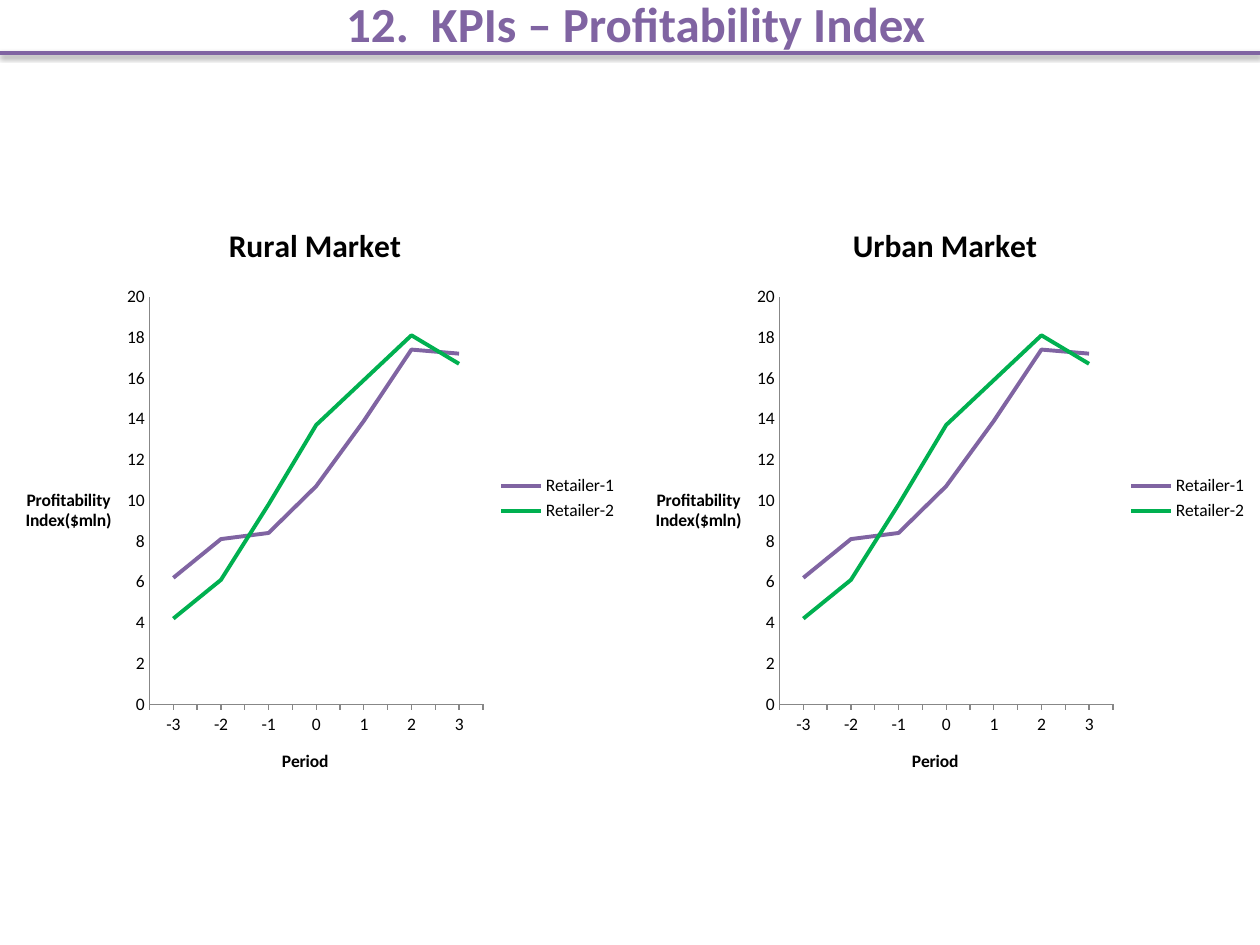
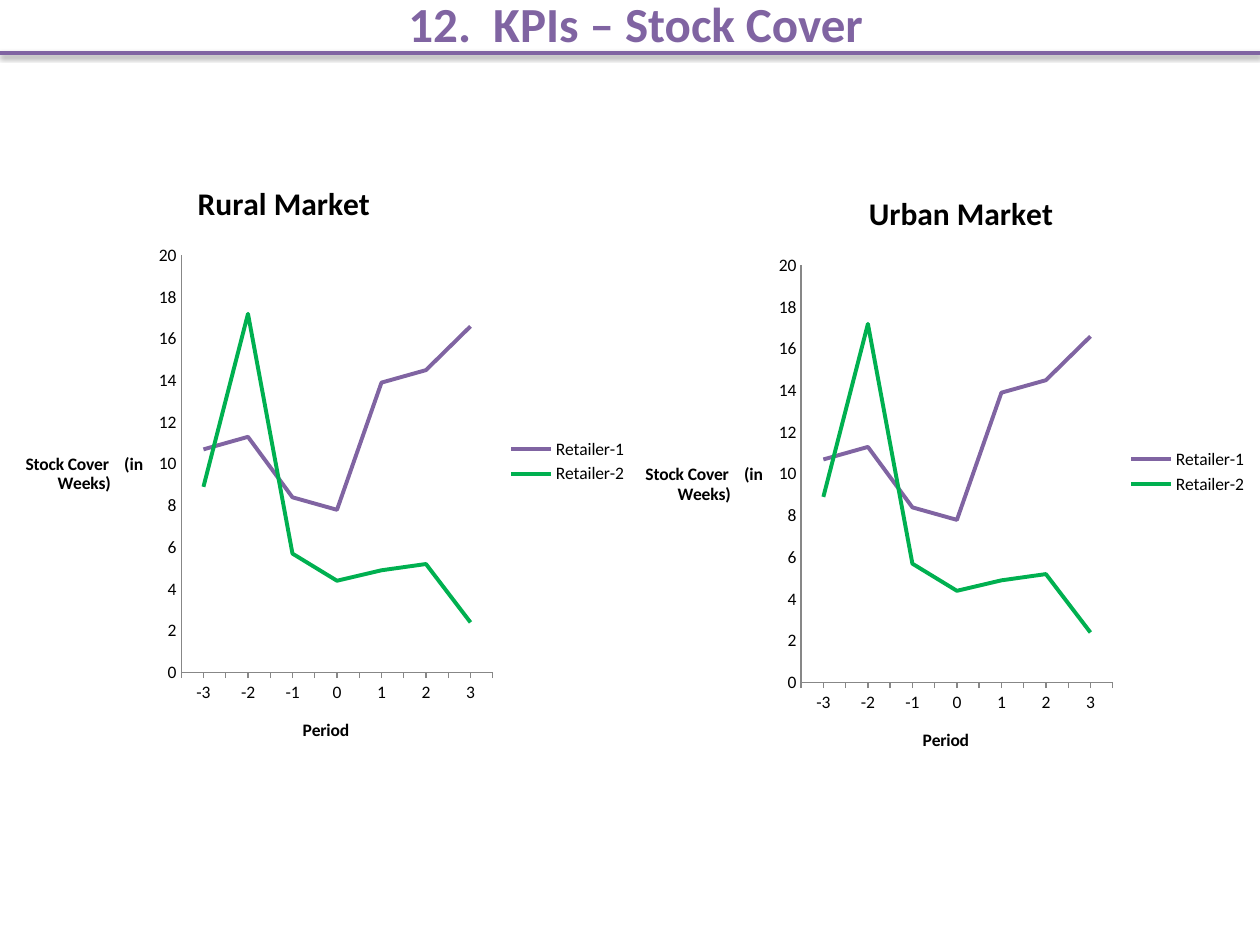
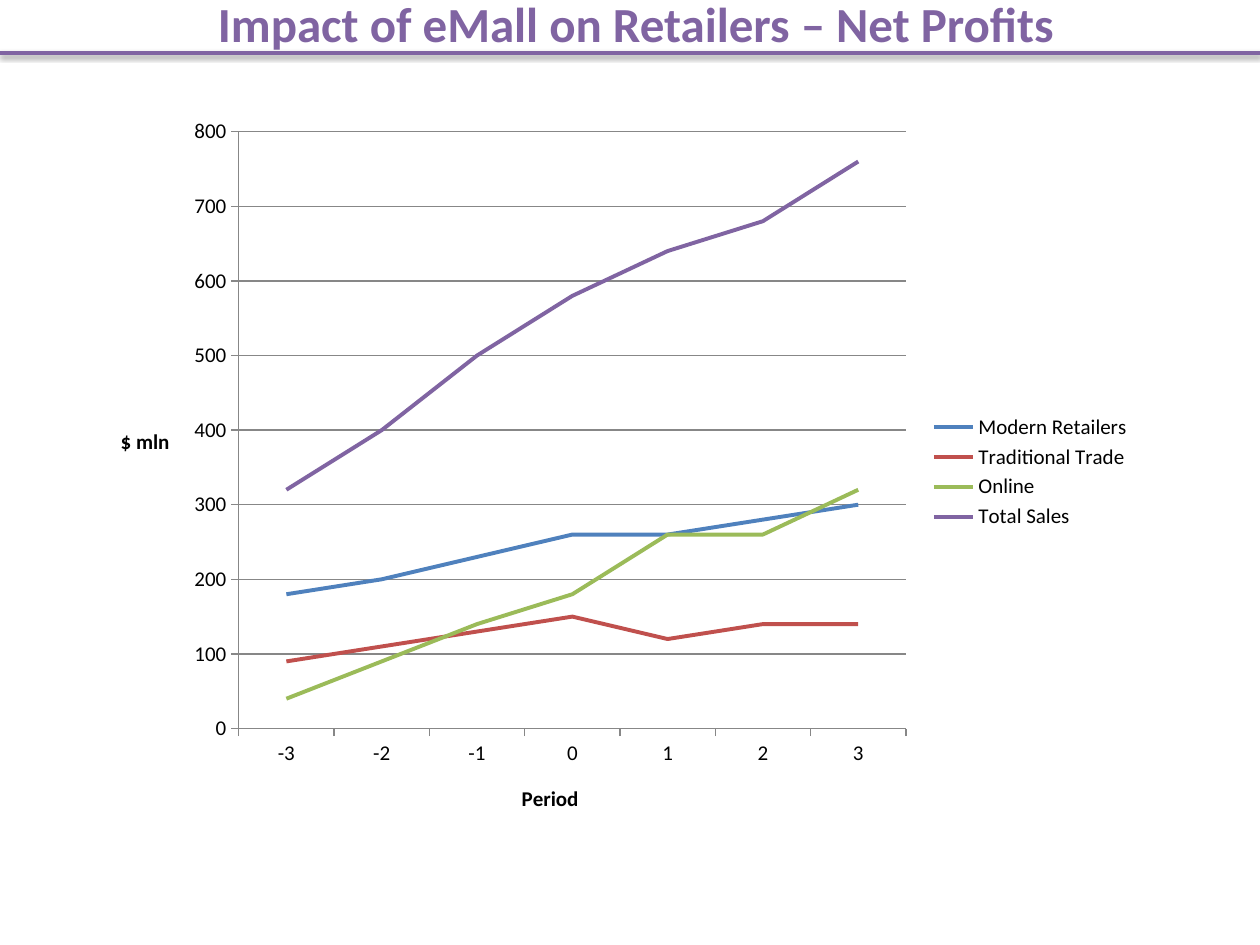
"""Build three slides of retail KPI line charts."""
from dataclasses import dataclass

from lxml import etree
from pptx import Presentation
from pptx.chart.data import CategoryChartData
from pptx.dml.color import RGBColor
from pptx.enum.chart import XL_CHART_TYPE, XL_LEGEND_POSITION, XL_TICK_MARK
from pptx.enum.shapes import MSO_CONNECTOR
from pptx.enum.text import MSO_ANCHOR, PP_ALIGN
from pptx.oxml.ns import qn
from pptx.util import Inches, Pt

LINE, STRAIGHT = XL_CHART_TYPE.LINE, MSO_CONNECTOR.STRAIGHT
RIGHT = XL_LEGEND_POSITION.RIGHT
OUTSIDE, NO_TICK = XL_TICK_MARK.OUTSIDE, XL_TICK_MARK.NONE
MIDDLE, CENTER = MSO_ANCHOR.MIDDLE, PP_ALIGN.CENTER


@dataclass(frozen=True)
class Theme:
    font: str = "Calibri"
    black: RGBColor = RGBColor.from_string("000000")
    purple: RGBColor = RGBColor.from_string("8064A2")
    green: RGBColor = RGBColor.from_string("00B050")
    blue: RGBColor = RGBColor.from_string("4F81BD")
    red: RGBColor = RGBColor.from_string("C0504D")
    lime: RGBColor = RGBColor.from_string("9BBB59")
    axis: RGBColor = RGBColor.from_string("878787")
    title: int = 28
    chart_title: int = 18
    small: int = 10
    medium: int = 12


T = Theme()
PERIODS = ["-3", "-2", "-1", "0", "1", "2", "3"]

PROFITABILITY = [
    ("Retailer-1", T.purple, (6.2, 8.1, 8.4, 10.7, 13.9, 17.4, 17.2)),
    ("Retailer-2", T.green, (4.2, 6.1, 9.8, 13.7, 15.9, 18.1, 16.7)),
]
STOCK_COVER = [
    ("Retailer-1", T.purple, (10.7, 11.3, 8.4, 7.8, 13.9, 14.5, 16.6)),
    ("Retailer-2", T.green, (8.9, 17.2, 5.7, 4.4, 4.9, 5.2, 2.4)),
]
NET_PROFITS = [
    ("Modern Retailers", T.blue, (180, 200, 230, 260, 260, 280, 300)),
    ("Traditional Trade", T.red, (90, 110, 130, 150, 120, 140, 140)),
    ("Online", T.lime, (40, 90, 140, 180, 260, 260, 320)),
    ("Total Sales", T.purple, (320, 400, 500, 580, 640, 680, 760)),
]

SLIDES = [
    {"title": "12.  KPIs – Profitability Index", "unit": "Profitability Index($mln)",
     "series": PROFITABILITY, "size": T.small, "grid": False,
     "charts": [("Urban Market", None, (5, 1.58, 5, 4.75)),
                ("Rural Market", None, (0, 1.58, 5, 4.75))]},
    {"title": "12.  KPIs – Stock Cover", "unit": "Stock Cover    (in Weeks)",
     "series": STOCK_COVER, "size": T.small, "grid": False,
     "charts": [("Rural Market", (0.3, 0.03), (0, 1.25, 5.08, 4.83)),
                ("Urban Market", (0.38, 0.03), (4.92, 1.33, 5.08, 4.83))]},
    {"title": "Impact of eMall on Retailers – Net Profits", "unit": "$ mln",
     "series": NET_PROFITS, "size": T.medium, "grid": True,
     "charts": [(None, None, (0.75, 0.83, 8.33, 5.83))]},
]


def style_font(font, size, color=T.black, bold=False):
    font.name, font.size, font.bold = T.font, Pt(size), bold
    font.color.rgb = color


def style_line(line, color, width):
    line.color.rgb, line.width = color, Pt(width)


def add_shadow(shape):
    effects = etree.SubElement(shape.element.spPr, qn("a:effectLst"))
    shadow = etree.SubElement(effects, qn("a:outerShdw"), blurRad=str(Pt(3.1)),
                              dist=str(Pt(1.6)), dir="5400000", rotWithShape="0")
    color = etree.SubElement(shadow, qn("a:srgbClr"), val=str(T.black))
    etree.SubElement(color, qn("a:alpha"), val="38000")


def add_header(s, text):
    title = s.shapes.title
    title.left, title.top, title.width, title.height = map(
        Inches, (0.17, -0.25, 9.75, 0.87))
    tf = title.text_frame
    tf.text, tf.vertical_anchor = text, MIDDLE
    p = tf.paragraphs[0]
    p.alignment = CENTER
    style_font(p.font, T.title, T.purple, True)
    rule = s.shapes.add_connector(
        STRAIGHT, 0, Inches(0.42), Inches(10), Inches(0.42))
    style_line(rule.line, T.purple, 2)
    add_shadow(rule)


def set_title(owner, text, size):
    tf = owner.text_frame
    tf.text = text
    style_font(tf.paragraphs[0].font, size, bold=True)
    return tf


def place_title(chart_title, x, y):
    """Put the top left corner at fractions of the chart's width and height."""
    title = chart_title._element
    for old in title.findall(qn("c:layout")):
        title.remove(old)
    layout = etree.Element(qn("c:layout"))
    title.find(qn("c:tx")).addnext(layout)
    manual = etree.SubElement(layout, qn("c:manualLayout"))
    for tag, val in (("xMode", "edge"), ("yMode", "edge"), ("x", x), ("y", y)):
        etree.SubElement(manual, qn(f"c:{tag}"), val=str(val))


def style_axis(axis, text, size, grid):
    axis.has_major_gridlines = grid
    axis.major_tick_mark = OUTSIDE if grid else NO_TICK
    axis.minor_tick_mark = NO_TICK
    style_line(axis.format.line, T.axis, 0.75)
    return set_title(axis.axis_title, text, size)


def add_line_chart(s, heading, corner, box, unit, series, size, grid):
    data = CategoryChartData()
    data.categories = PERIODS
    for name, _, values in series:
        data.add_series(name, values)
    chart = s.shapes.add_chart(LINE, *map(Inches, box), data).chart
    style_font(chart.font, size)
    chart.has_title = heading is not None
    if heading:
        set_title(chart.chart_title, heading, T.chart_title)
    if corner:
        place_title(chart.chart_title, *corner)
    chart.has_legend = True
    chart.legend.position = RIGHT
    chart.legend.include_in_layout = False

    style_axis(chart.category_axis, "Period", size, grid)
    chart.category_axis.has_major_gridlines = False
    if not grid:
        chart.category_axis.minor_tick_mark = OUTSIDE
    tf = style_axis(chart.value_axis, unit, size, grid)
    tf._txBody.bodyPr.set("rot", "0")
    tf._txBody.bodyPr.set("vert", "horz")
    if grid:
        style_line(chart.value_axis.major_gridlines.format.line, T.axis, 0.75)

    plot = chart.plots[0]
    plot.vary_by_categories = False
    for line, (_, color, _) in zip(plot.series, series):
        line.smooth = False
        style_line(line.format.line, color, 2.25)


def main():
    prs = Presentation()
    prs.slide_width, prs.slide_height = Inches(10), Inches(7.5)
    for content in SLIDES:
        s = prs.slides.add_slide(prs.slide_layouts[5])
        add_header(s, content["title"])
        for heading, corner, box in content["charts"]:
            add_line_chart(s, heading, corner, box, content["unit"],
                           content["series"], content["size"], content["grid"])
    prs.save("out.pptx")


if __name__ == "__main__":
    main()
